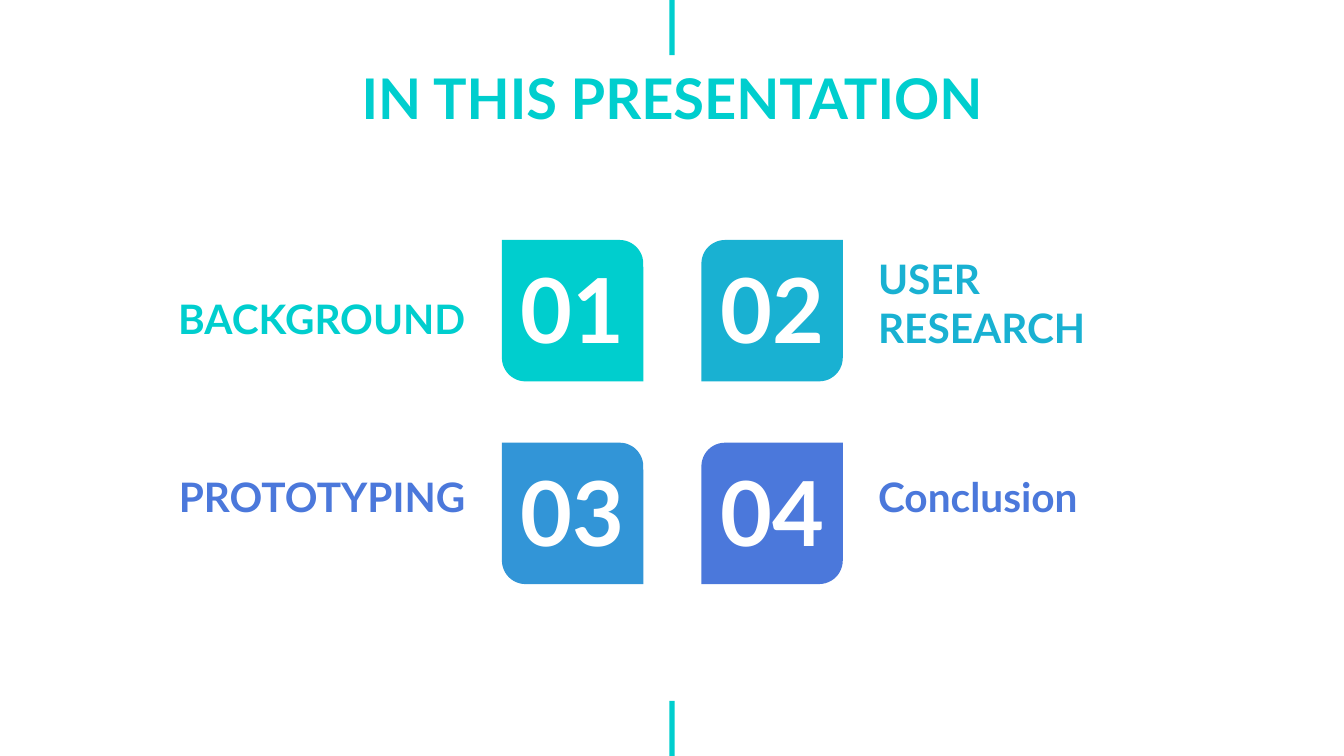
from pptx import Presentation
from pptx.dml.color import RGBColor
from pptx.enum.shapes import MSO_SHAPE
from pptx.enum.text import MSO_ANCHOR, MSO_AUTO_SIZE, PP_ALIGN
from pptx.util import Pt

COLORS = {
    "turquoise": "00CECE",
    "cyan": "19B1D2",
    "blue": "3295D7",
    "indigo": "4B78DB",
    "white": "FFFFFF",
}
WIDTH, HEIGHT = 960, 540
TILE = 101
TILE_LEFTS = (358.5, 501)
TILE_TOPS = (171.4, 316.2)
LABEL_LEFTS = (105.8, 617.8)
LABEL_ALIGNS = (PP_ALIGN.RIGHT, PP_ALIGN.LEFT)
CORNERS = ((0, 0.167), (0.167, 0))
TOPICS = [
    ("BACKGROUND", "turquoise", "turquoise", 175.7, 236.2),
    ("USER RESEARCH", "cyan", "cyan", 182.2, 236.2),
    ("PROTOTYPING", "blue", "indigo", 303.1, 236.2),
    ("Conclusion", "indigo", "indigo", 303.1, 335.5),
]


class SlideBuilder:
    font_name = "Lato"
    inset = 9.4

    def __init__(self, presentation):
        self.slide = presentation.slides.add_slide(presentation.slide_layouts[5])

    def color(self, name):
        return RGBColor.from_string(COLORS[name])

    def fill_text(self, shape, text, size, color, align, anchor):
        frame = shape.text_frame
        frame_format = {
            "word_wrap": True,
            "auto_size": MSO_AUTO_SIZE.NONE,
            "vertical_anchor": anchor,
        }
        for side in ("left", "right", "top", "bottom"):
            frame_format[f"margin_{side}"] = Pt(self.inset)
        for name, value in frame_format.items():
            setattr(frame, name, value)
        paragraph = frame.paragraphs[0]
        paragraph.alignment = align
        run = paragraph.add_run()
        run.text = text
        font_format = {"name": self.font_name, "size": Pt(size), "bold": True}
        for name, value in font_format.items():
            setattr(run.font, name, value)
        run.font.color.rgb = self.color(color)

    def title(self, text, left, top, width, height):
        shape = self.slide.shapes.title
        box = {"left": left, "top": top, "width": width, "height": height}
        for name, value in box.items():
            setattr(shape, name, Pt(value))
        self.fill_text(shape, text, 40, "turquoise", PP_ALIGN.CENTER, MSO_ANCHOR.TOP)

    def text(self, text, box, size, color, align, anchor):
        shape = self.slide.shapes.add_textbox(*map(Pt, box))
        self.fill_text(shape, text, size, color, align, anchor)

    def block(self, kind, box, color, corners=()):
        shape = self.slide.shapes.add_shape(kind, *map(Pt, box))
        shape.shadow.inherit = False
        shape.fill.solid()
        shape.fill.fore_color.rgb = self.color(color)
        shape.line.fill.background()
        for index, corner in enumerate(corners):
            shape.adjustments[index] = corner


def main():
    presentation = Presentation()
    presentation.slide_width = Pt(WIDTH)
    presentation.slide_height = Pt(HEIGHT)
    builder = SlideBuilder(presentation)
    builder.title("IN THIS PRESENTATION", 182.2, 36, 595.5, 90.7)

    for index, (label, tile_color, label_color, label_top, label_width) in enumerate(TOPICS):
        row, column = divmod(index, 2)
        left, top = TILE_LEFTS[column], TILE_TOPS[row]
        builder.block(MSO_SHAPE.ROUND_2_DIAG_RECTANGLE, (left, top, TILE, TILE),
                      tile_color, CORNERS[column])
        builder.text(f"{index + 1:02}", (left, top + 18.4, TILE, 60.5), 64, "white",
                     PP_ALIGN.CENTER, MSO_ANCHOR.MIDDLE)
        builder.text(label, (LABEL_LEFTS[column], label_top, label_width, 78.5), 29,
                     label_color, LABEL_ALIGNS[column], MSO_ANCHOR.BOTTOM)

    bar_width, bar_height = 3.8, 39.4
    for top in (0, HEIGHT - bar_height):
        builder.block(MSO_SHAPE.RECTANGLE,
                      ((WIDTH - bar_width) / 2, top, bar_width, bar_height), "turquoise")
    presentation.save("out.pptx")


if __name__ == "__main__":
    main()
